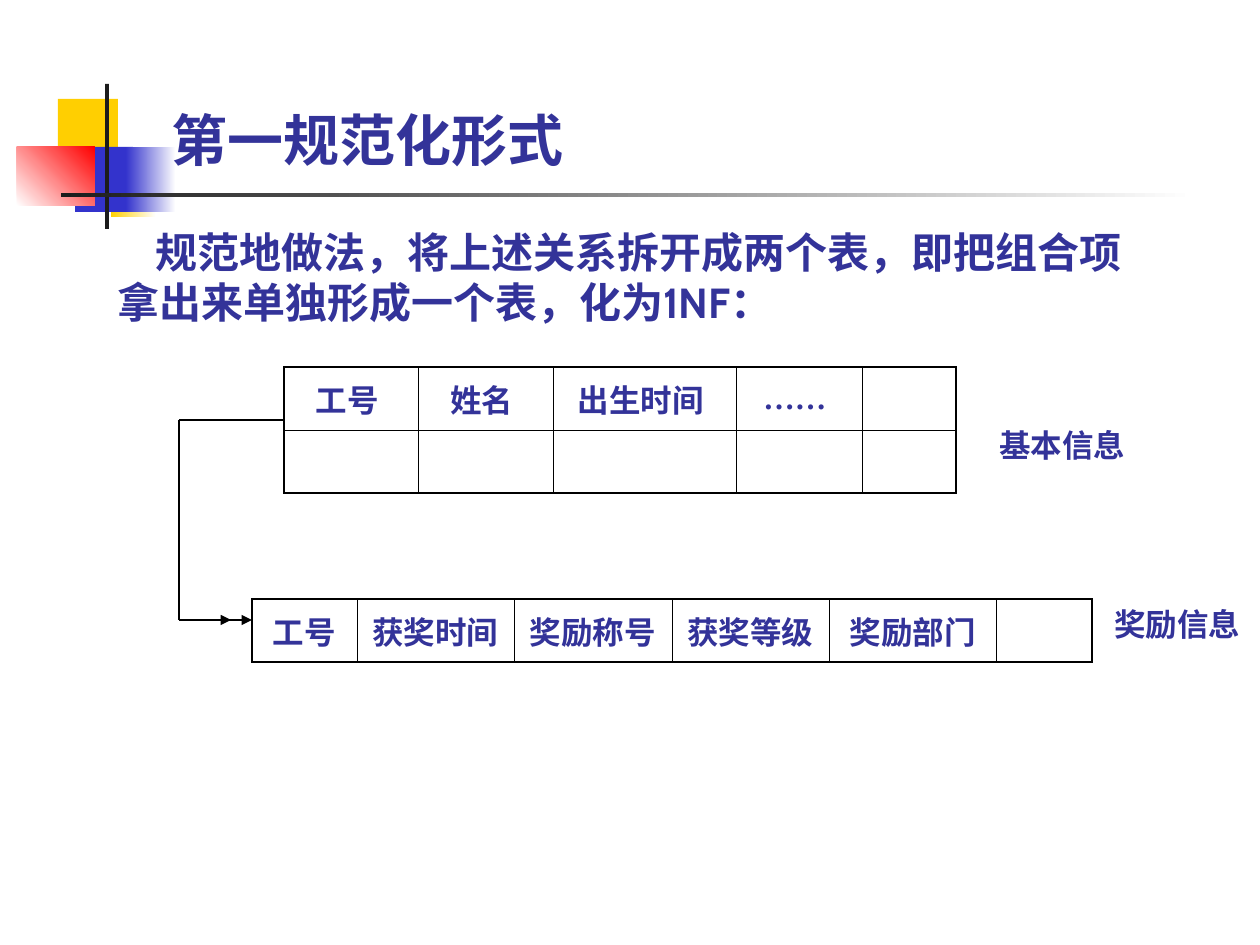
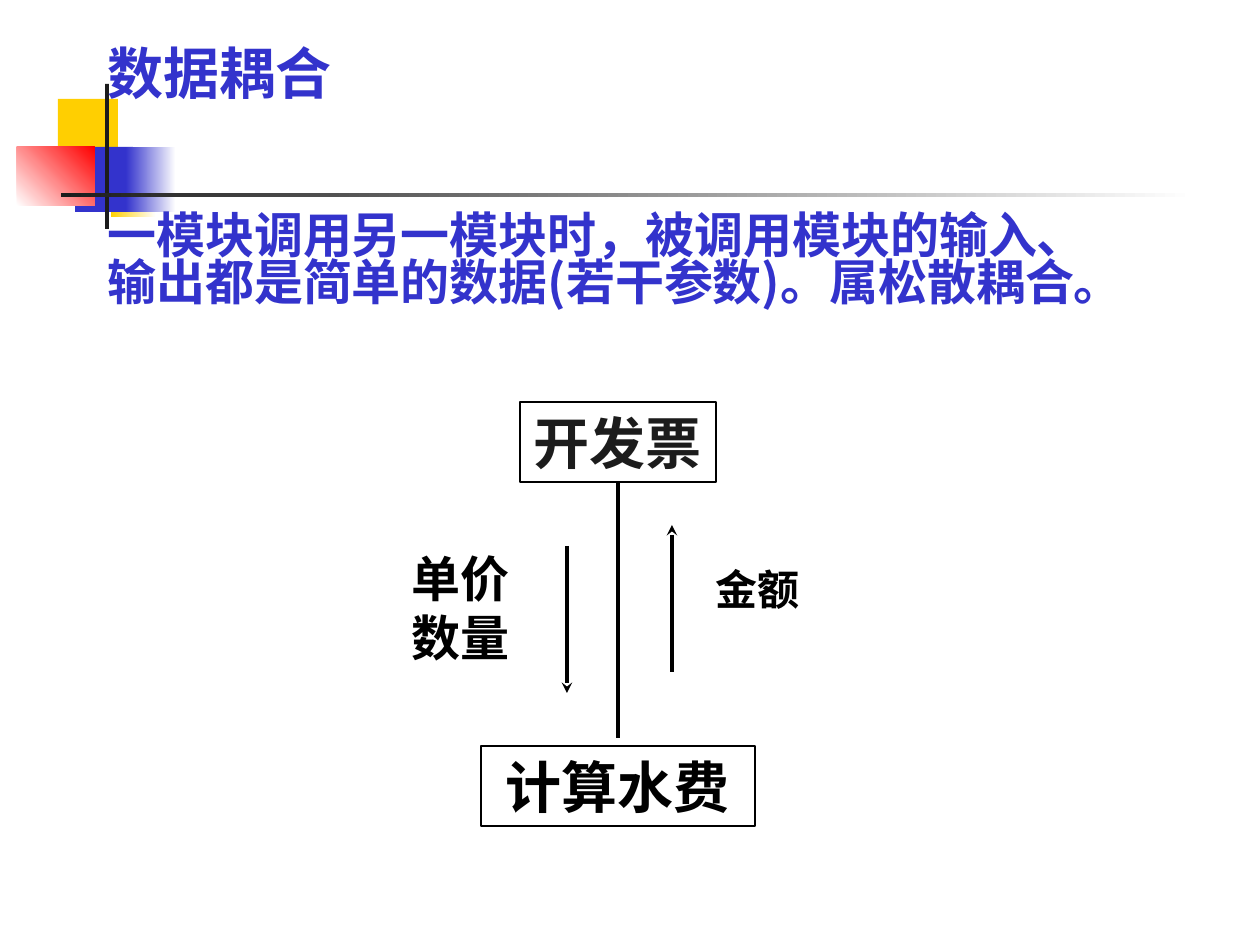
from pptx import Presentation
from pptx.dml.color import RGBColor
from pptx.enum.shapes import MSO_CONNECTOR, MSO_SHAPE
from pptx.enum.text import MSO_ANCHOR, MSO_AUTO_SIZE, PP_ALIGN
from pptx.oxml import parse_xml
from pptx.oxml.ns import nsdecls, qn
from pptx.oxml.xmlchemy import OxmlElement
from pptx.util import Inches, Pt

PX = 7257  # EMU in one px, at 126 px to the inch
TITLE_ONLY = 5
RECTANGLE = MSO_SHAPE.RECTANGLE
STRAIGHT = MSO_CONNECTOR.STRAIGHT
LEFT, CENTER = PP_ALIGN.LEFT, PP_ALIGN.CENTER
TOP, MIDDLE, BOTTOM = MSO_ANCHOR.TOP, MSO_ANCHOR.MIDDLE, MSO_ANCHOR.BOTTOM
HAN, LATIN, SERIF = "Noto Sans CJK SC", "Cabin", "Times New Roman"
COLORS = {
    "navy": "333399", "blue": "3333CC", "yellow": "FFCF01", "red": "FF0000",
    "ink": "1C1C1C", "black": "000000", "white": "FFFFFF",
}


def write(frame, text, size=18, color="navy", font=HAN, align=LEFT,
          anchor=TOP, indent=0, spacing=None):
    """Fill a text frame with bold paragraphs, one for each line of text."""
    frame.word_wrap = True
    frame.vertical_anchor = anchor
    for number, line in enumerate(text.split("\n")):
        para = frame.paragraphs[0] if number == 0 else frame.add_paragraph()
        para.alignment = align
        para.line_spacing = spacing
        if indent:
            para._p.get_or_add_pPr().set("indent", str(indent * PX))
        span = para.add_run()
        span.text = line
        span.font.name = font
        span.font.size = Pt(size)
        span.font.bold = True
        span.font.color.rgb = RGBColor.from_string(COLORS[color])
        east_asian = OxmlElement("a:ea")
        east_asian.set("typeface", HAN)
        span.font._element.find(qn("a:latin")).addnext(east_asian)


def add_line(page, start, end, width, arrow=None):
    """Draw a black straight connector, with an arrowhead at its end if named."""
    line = page.shapes.add_connector(STRAIGHT, *(n * PX for n in start + end))
    line.line.color.rgb = RGBColor.from_string(COLORS["black"])
    line.line.width = Pt(width)
    properties = line._element.spPr
    if arrow:
        head = OxmlElement("a:tailEnd")
        head.set("type", arrow)
        properties.find(qn("a:ln")).append(head)
    properties.append(OxmlElement("a:effectLst"))
    return line


deck = Presentation()
deck.slide_width, deck.slide_height = Inches(10), Inches(7.5)

# Shared corner motif: left, top, width, height, colour, fade-to colour, angle
MOTIF = [
    (58, 99, 60, 65, "yellow", None, 0),
    (111, 151, 45, 66, "yellow", "white", 0),
    (75, 147, 58, 65, "blue", None, 0),
    (126, 147, 50, 65, "blue", "white", 0),
    (17, 147, 78, 59, "white", "red", 45),
    (105, 84, 4, 145, "ink", None, 0),
    (61, 193, 1134, 4, "ink", "white", 0),
]
TITLES = [
    ("第一规范化形式", (159, 21, 1074, 158), "navy", BOTTOM),
    ("数据耦合", (95, 8, 788, 128), "blue", MIDDLE),
]
for text, place, color, anchor in TITLES:
    page = deck.slides.add_slide(deck.slide_layouts[TITLE_ONLY])
    for left, top, width, height, first, last, angle in MOTIF:
        block = page.shapes.add_shape(RECTANGLE, left * PX, top * PX, width * PX, height * PX)
        block.shadow.inherit = False
        block.line.fill.background()
        if last:
            block.fill.gradient()
            block.fill.gradient_angle = angle
            for stop, shade in zip(block.fill.gradient_stops, (first, last)):
                stop.color.rgb = RGBColor.from_string(COLORS[shade])
        else:
            block.fill.solid()
            block.fill.fore_color.rgb = RGBColor.from_string(COLORS[first])
    title = page.shapes.title
    title.left, title.top, title.width, title.height = (n * PX for n in place)
    title.text_frame.auto_size = MSO_AUTO_SIZE.NONE
    write(title.text_frame, text, size=32, color=color, anchor=anchor)
    page.shapes._spTree.append(title._element)  # title in front of the motif

normal_form, coupling = deck.slides

# Text boxes of both slides
TEXTS = [
    (normal_form, (105, 220, 1029, 113),
     "规范地做法，将上述关系拆开成两个表，即把组合项拿出来单独形成一个表，化为1NF：",
     dict(size=24, font=LATIN, indent=38)),
    (normal_form, (987, 420, 189, 50), "基本信息", dict(font=LATIN)),
    (normal_form, (1102, 599, 158, 50), "奖励信息", dict(font=LATIN)),
    (coupling, (95, 210, 1050, 116),
     "一模块调用另一模块时，被调用模块的输入、输出都是简单的数据(若干参数)。属松散耦合。",
     dict(size=28, color="blue", spacing=0.8)),
    (coupling, (399, 542, 136, 131), "单价\n数量", dict(size=28, color="black")),
    (coupling, (703, 557, 220, 63), "金额", dict(size=24, color="black")),
]
for page, place, text, style in TEXTS:
    box = page.shapes.add_textbox(*(n * PX for n in place))
    write(box.text_frame, text, **style)

# Tables: left, top, column widths, row count, headings with their fonts
ROW_HEIGHT = 63
OUTER, INNER = Pt(1.08), Pt(0.45)
TABLES = [
    (284, 367, [134, 135, 183, 126, 94], 2,
     [("工号 ", HAN), ("姓名 ", HAN), ("出生时间 ", HAN), ("…… ", SERIF)]),
    (252, 599, [105, 157, 158, 157, 168, 95], 1,
     [("工号", HAN)] + [(name, LATIN) for name in
                       ("获奖时间", "奖励称号", "获奖等级", "奖励部门")]),
]
for left, top, widths, row_count, headings in TABLES:
    table = normal_form.shapes.add_table(
        row_count, len(widths), left * PX, top * PX,
        sum(widths) * PX, row_count * ROW_HEIGHT * PX).table
    table.first_row = table.horz_banding = False
    for column, width in zip(table.columns, widths):
        column.width = width * PX
    for r in range(row_count):
        table.rows[r].height = ROW_HEIGHT * PX
        for c in range(len(widths)):
            cell = table.cell(r, c)
            cell.fill.background()
            on_edge = {"L": c == 0, "R": c == len(widths) - 1,
                       "T": r == 0, "B": r == row_count - 1}
            for position, (side, outside) in enumerate(on_edge.items()):
                border = parse_xml(
                    f'<a:ln{side} {nsdecls("a")} w="{OUTER if outside else INNER}">'
                    f'<a:solidFill><a:srgbClr val="{COLORS["black"]}"/></a:solidFill>'
                    f'</a:ln{side}>')
                cell._tc.get_or_add_tcPr().insert(position, border)
    for c, (heading, font) in enumerate(headings):
        cell = table.cell(0, c)
        write(cell.text_frame, heading, font=font, align=CENTER)
        cell.vertical_anchor = MIDDLE

# Link from the basic table to the award table, with a double arrowhead
LINK_X, LINK_TOP, LINK_BOTTOM = 179, 420, 620
add_line(normal_form, (LINK_X, LINK_TOP), (284, LINK_TOP), 0.75)
add_line(normal_form, (LINK_X, LINK_TOP), (LINK_X, LINK_BOTTOM), 0.75)
for tip in (252, 231):
    add_line(normal_form, (LINK_X, LINK_BOTTOM), (tip, LINK_BOTTOM), 0.75, "triangle")

# Calling and called modules
modules = []
for text, place, color in [("开发票", (520, 402, 196, 80), "ink"),
                           ("计算水费", (481, 746, 274, 80), "black")]:
    module = coupling.shapes.add_shape(RECTANGLE, *(n * PX for n in place))
    module.shadow.inherit = False
    module.fill.background()
    module.line.color.rgb = RGBColor.from_string(COLORS["black"])
    module.line.width = Pt(0.75)
    write(module.text_frame, text, size=32, color=color, align=CENTER, anchor=MIDDLE)
    modules.append(module)

# Call line and the data passed down and up
call = add_line(coupling, (618, 482), (618, 738), 2)
call.begin_connect(modules[0], 2)
add_line(coupling, (567, 546), (567, 693), 2, "stealth")
add_line(coupling, (672, 672), (672, 525), 2, "stealth")

deck.save("out.pptx")
